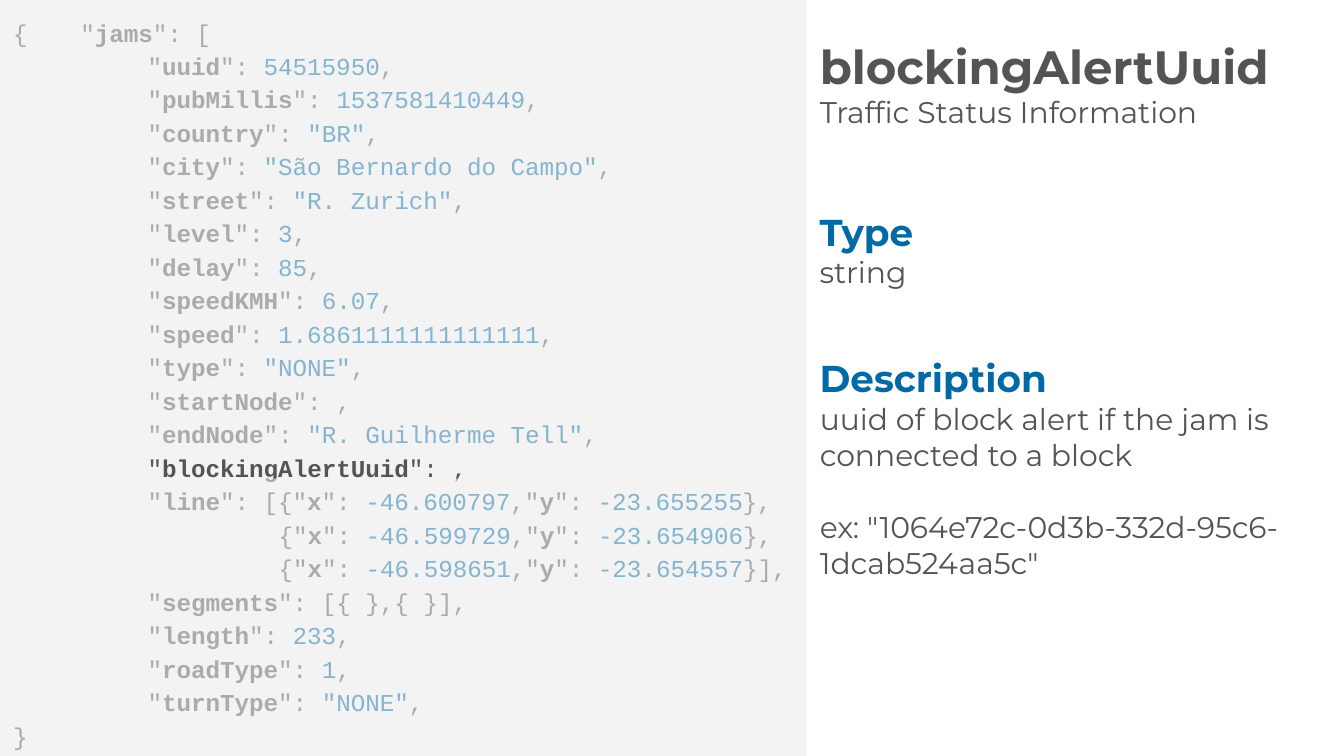
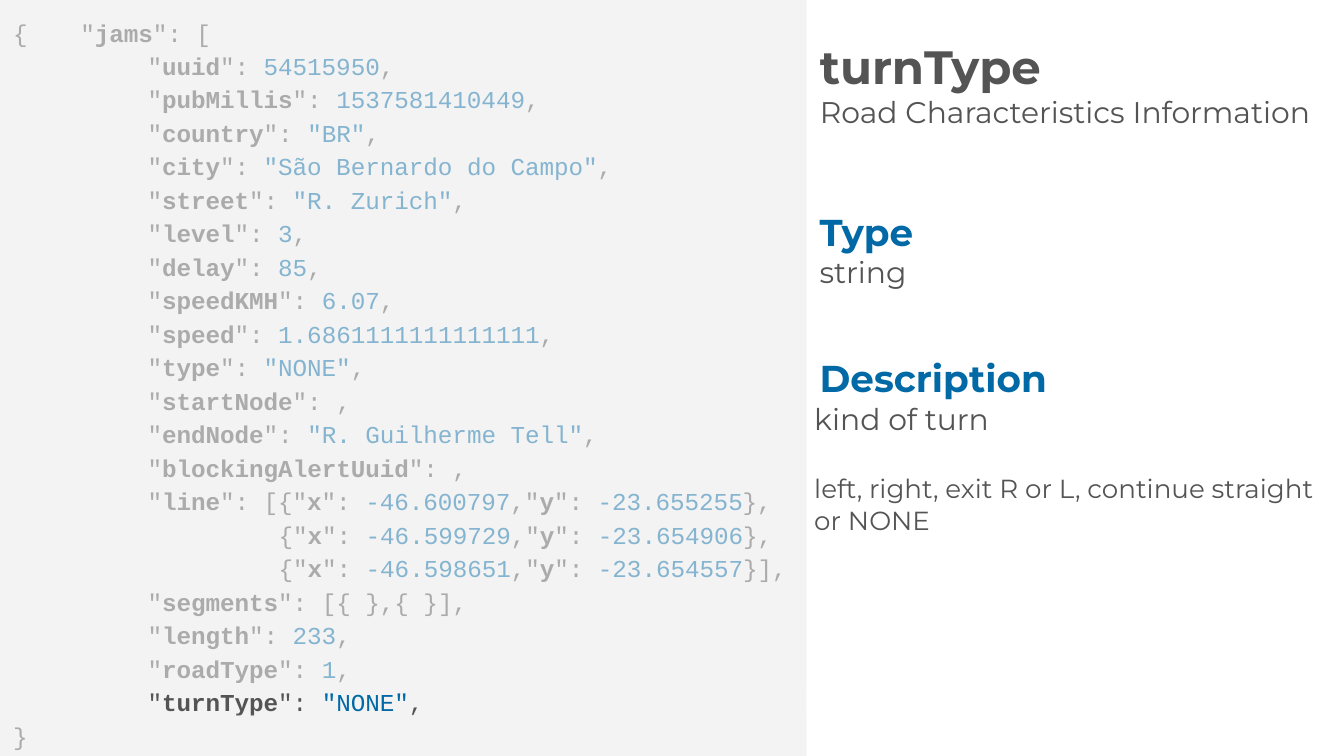
from lxml import etree
from pptx import Presentation
from pptx.dml.color import RGBColor
from pptx.enum.shapes import MSO_SHAPE
from pptx.enum.text import MSO_ANCHOR, MSO_AUTO_SIZE, PP_ALIGN
from pptx.oxml.ns import qn
from pptx.util import Pt

RECTANGLE = MSO_SHAPE.RECTANGLE
TOP, MIDDLE = MSO_ANCHOR.TOP, MSO_ANCHOR.MIDDLE
LEFT = PP_ALIGN.LEFT
NO_AUTOFIT = MSO_AUTO_SIZE.NONE

# Shared look
SLIDE_WIDTH, SLIDE_HEIGHT = 720, 405
PANEL_WIDTH = 432
PANEL_FILL, GREY, BLUE = "F3F3F3", "545454", "0069A6"
VEIL_OPACITY = 55
HIGHLIGHT_HEIGHT = 15.8
INSET = 7.2
KEY_INDENT = 72
CHARACTER_WIDTH = 7.8
POINT_INDENT = KEY_INDENT + 9 * CHARACTER_WIDTH

# Text styles
CODE = {"name": "Courier New", "size": Pt(13), "bold": False, "color": GREY}
KEY = CODE | {"bold": True}
VALUE = CODE | {"color": BLUE}
BODY = {"name": "Montserrat", "size": Pt(16), "bold": False, "color": GREY}
SMALL_BODY = BODY | {"size": Pt(14)}
TITLE = BODY | {"size": Pt(25), "bold": True}
HEADING = BODY | {"size": Pt(20), "bold": True, "color": BLUE}

# Fields of a jam, before and after its line of points
FIELDS_BEFORE = [
    ("uuid", "54515950"),
    ("pubMillis", "1537581410449"),
    ("country", '"BR"'),
    ("city", '"São Bernardo do Campo"'),
    ("street", '"R. Zurich"'),
    ("level", "3"),
    ("delay", "85"),
    ("speedKMH", "6.07"),
    ("speed", "1.6861111111111111"),
    ("type", '"NONE"'),
    ("startNode", ""),
    ("endNode", '"R. Guilherme Tell"'),
    ("blockingAlertUuid", ""),
]
POINTS = [
    ("-46.600797", "-23.655255"),
    ("-46.599729", "-23.654906"),
    ("-46.598651", "-23.654557"),
]
FIELDS_AFTER = [("length", "233"), ("roadType", "1"), ("turnType", '"NONE"')]

# Content of each slide; highlight_top is where the clear strip starts
SLIDES = [
    {
        "title": "blockingAlertUuid",
        "subtitle": "Traffic Status Information",
        "description": [
            ("uuid of block alert if the jam is connected to a block", BODY),
            ('ex: "1064e72c-0d3b-332d-95c6-1dcab524aa5c"', BODY),
        ],
        "description_left": 432,
        "highlight_top": 240.5,
    },
    {
        "title": "turnType",
        "subtitle": "Road Characteristics Information",
        "description": [
            ("kind of turn", BODY),
            ("left, right, exit R or L, continue straight or NONE", SMALL_BODY),
        ],
        "description_left": 429,
        "highlight_top": 367.2,
    },
]


def colour(hex_string):
    return RGBColor.from_string(hex_string)


def add_run(paragraph, text, style):
    font = paragraph.add_run().font
    paragraph.runs[-1].text = text
    for attribute, value in style.items():
        if attribute == "color":
            font.color.rgb = colour(value)
        else:
            setattr(font, attribute, value)


def format_paragraph(paragraph, indent=0, **settings):
    """Left-align without a bullet, with the given left margin."""
    settings = {"alignment": LEFT, "space_before": Pt(0)} | settings
    for attribute, value in settings.items():
        setattr(paragraph, attribute, value)
    properties = paragraph._p.get_or_add_pPr()
    properties.set("marL", str(Pt(indent)))
    properties.set("indent", "0")
    etree.SubElement(properties, qn("a:buNone"))


def fill_text(shape, lines, anchor=TOP):
    """Write lines given as (runs, paragraph settings)."""
    frame = shape.text_frame
    settings = {"word_wrap": True, "auto_size": NO_AUTOFIT, "vertical_anchor": anchor}
    for side in ("left", "top", "right", "bottom"):
        settings[f"margin_{side}"] = Pt(INSET)
    for attribute, value in settings.items():
        setattr(frame, attribute, value)
    for index, (runs, paragraph_settings) in enumerate(lines):
        paragraph = frame.add_paragraph() if index else frame.paragraphs[0]
        format_paragraph(paragraph, **paragraph_settings)
        for text, style in runs:
            add_run(paragraph, text, style)


def place(shape, left, top, width, height):
    shape.left, shape.top = Pt(left), Pt(top)
    shape.width, shape.height = Pt(width), Pt(height)


def add_panel(slide, top, opacity=100):
    panel = slide.shapes.add_shape(
        RECTANGLE, Pt(0), Pt(top), Pt(PANEL_WIDTH), Pt(SLIDE_HEIGHT))
    panel.shadow.inherit = False
    panel.fill.solid()
    panel.fill.fore_color.rgb = colour(PANEL_FILL)
    panel.line.fill.background()
    if opacity < 100:
        fill_colour = panel._element.spPr.find(".//" + qn("a:srgbClr"))
        etree.SubElement(fill_colour, qn("a:alpha"), val=str(opacity * 1000))
    return panel


def add_text(slide, text, style, top, width, height):
    box = slide.shapes.add_textbox(
        Pt(PANEL_WIDTH), Pt(top), Pt(width), Pt(height))
    fill_text(box, [([(text, style)], {})])


def field_runs(key, value):
    runs = [('"', CODE), (key, KEY), ('": ', CODE), (value, VALUE), (",", CODE)]
    return [run for run in runs if run[0]]


def point_runs(x, y, ending):
    return [('{"', CODE), ("x", KEY), ('": ', CODE), (x, VALUE), (',"', CODE),
            ("y", KEY), ('": ', CODE), (y, VALUE), (ending, CODE)]


def code_lines():
    opening = [('{\t"', CODE), ("jams", KEY), ('": [', CODE)]
    line_start = [('"', CODE), ("line", KEY), ('": [', CODE)]
    segments = [('"', CODE), ("segments", KEY), ('": [{ },{ }],', CODE)]

    lines = [(opening, 0)]
    lines += [(field_runs(*field), KEY_INDENT) for field in FIELDS_BEFORE]
    for index, point in enumerate(POINTS):
        runs = point_runs(*point, "}]," if point == POINTS[-1] else "},")
        lines.append((runs, POINT_INDENT) if index
                     else (line_start + runs, KEY_INDENT))
    lines.append((segments, KEY_INDENT))
    lines += [(field_runs(*field), KEY_INDENT) for field in FIELDS_AFTER]
    lines.append(([("}", CODE)], 0))
    return [(runs, {"indent": indent, "line_spacing": 1.15})
            for runs, indent in lines]


def add_field_slide(presentation, content):
    slide = presentation.slides.add_slide(presentation.slide_layouts[1])
    title, description = slide.placeholders

    # Code listing
    fill_text(add_panel(slide, 0), code_lines())

    # Title and subtitle
    place(title, PANEL_WIDTH, 11.5, 288, 66.2)
    fill_text(title, [([(content["title"], TITLE)], {}),
                      ([(content["subtitle"], BODY)], {})], MIDDLE)

    # Type and description
    add_text(slide, "Type", HEADING, 105.1, 139, 36)
    add_text(slide, "string", BODY, 128.9, 259.2, 62.6)
    left = content["description_left"]
    place(description, left, 207.4, SLIDE_WIDTH - left, 189.4)
    fill_text(description, [
        ([line], {"space_before": Pt(19.5 if index else 0)})
        for index, line in enumerate(content["description"])])
    add_text(slide, "Description", HEADING, 182.9, 139, 36)

    # Veils below and above the highlighted field
    highlight_top = content["highlight_top"]
    for top in (highlight_top + HIGHLIGHT_HEIGHT, highlight_top - SLIDE_HEIGHT):
        add_panel(slide, top, VEIL_OPACITY)


def main():
    presentation = Presentation()
    presentation.slide_width = Pt(SLIDE_WIDTH)
    presentation.slide_height = Pt(SLIDE_HEIGHT)
    for content in SLIDES:
        add_field_slide(presentation, content)
    presentation.save("out.pptx")


if __name__ == "__main__":
    main()
